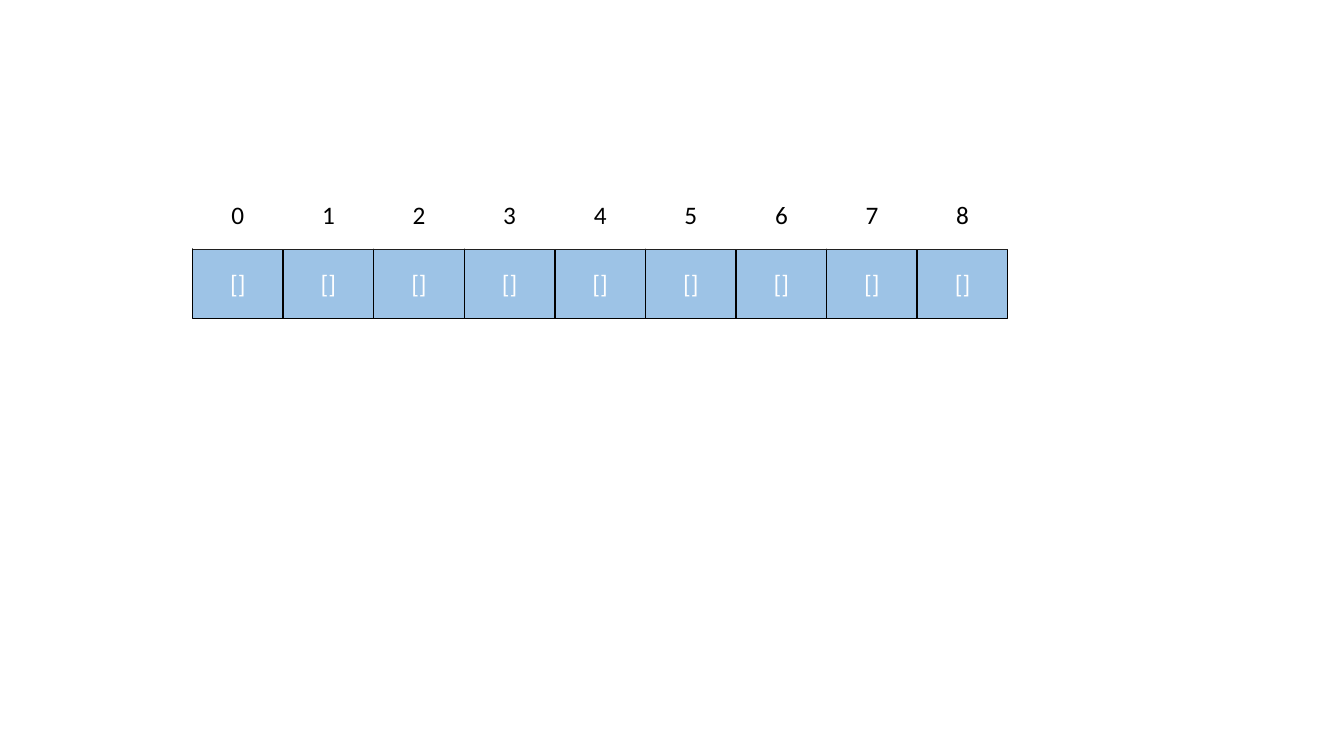
from dataclasses import dataclass
from pptx import Presentation
from pptx.dml.color import RGBColor
from pptx.enum.shapes import MSO_SHAPE
from pptx.enum.text import MSO_ANCHOR, PP_ALIGN
from pptx.util import Pt


@dataclass(frozen=True)
class Theme:
    font: str = "Calibri"
    text_size: int = 18
    bucket_fill: str = "9DC3E6"
    white: str = "FFFFFF"
    black: str = "000000"


theme = Theme()
BUCKET_COUNT = 9
ROW_LEFT = 137.5
CELL_WIDTH = 64.71
CELL_HEIGHT = 49.4
INDEX_TOP = 128.6
BUCKET_TOP = INDEX_TOP + CELL_HEIGHT

presentation = Presentation()
presentation.slide_width = Pt(960)
presentation.slide_height = Pt(540)
slide = presentation.slides.add_slide(presentation.slide_layouts[6])


def add_cell(column, top, text, fill_color, text_color):
    shape = slide.shapes.add_shape(
        MSO_SHAPE.RECTANGLE,
        Pt(ROW_LEFT + column * CELL_WIDTH), Pt(top), Pt(CELL_WIDTH), Pt(CELL_HEIGHT),
    )
    shape.shadow.inherit = False
    shape.fill.solid()
    shape.fill.fore_color.rgb = RGBColor.from_string(fill_color)
    shape.line.fill.background()
    shape.text_frame.vertical_anchor = MSO_ANCHOR.MIDDLE
    paragraph = shape.text_frame.paragraphs[0]
    paragraph.alignment = PP_ALIGN.CENTER
    run = paragraph.add_run()
    run.text = text
    run.font.name = theme.font
    run.font.size = Pt(theme.text_size)
    run.font.color.rgb = RGBColor.from_string(text_color)
    return shape


for column in range(BUCKET_COUNT):
    bucket = add_cell(column, BUCKET_TOP, "[]", theme.bucket_fill, theme.white)
    bucket.name = f"Bucket {column}"
    bucket.line.color.rgb = RGBColor.from_string(theme.black)
    bucket.line.width = Pt(1)

for column in range(BUCKET_COUNT):
    index = add_cell(column, INDEX_TOP, str(column), theme.white, theme.black)
    index.name = f"Index {column}"

presentation.save("out.pptx")
